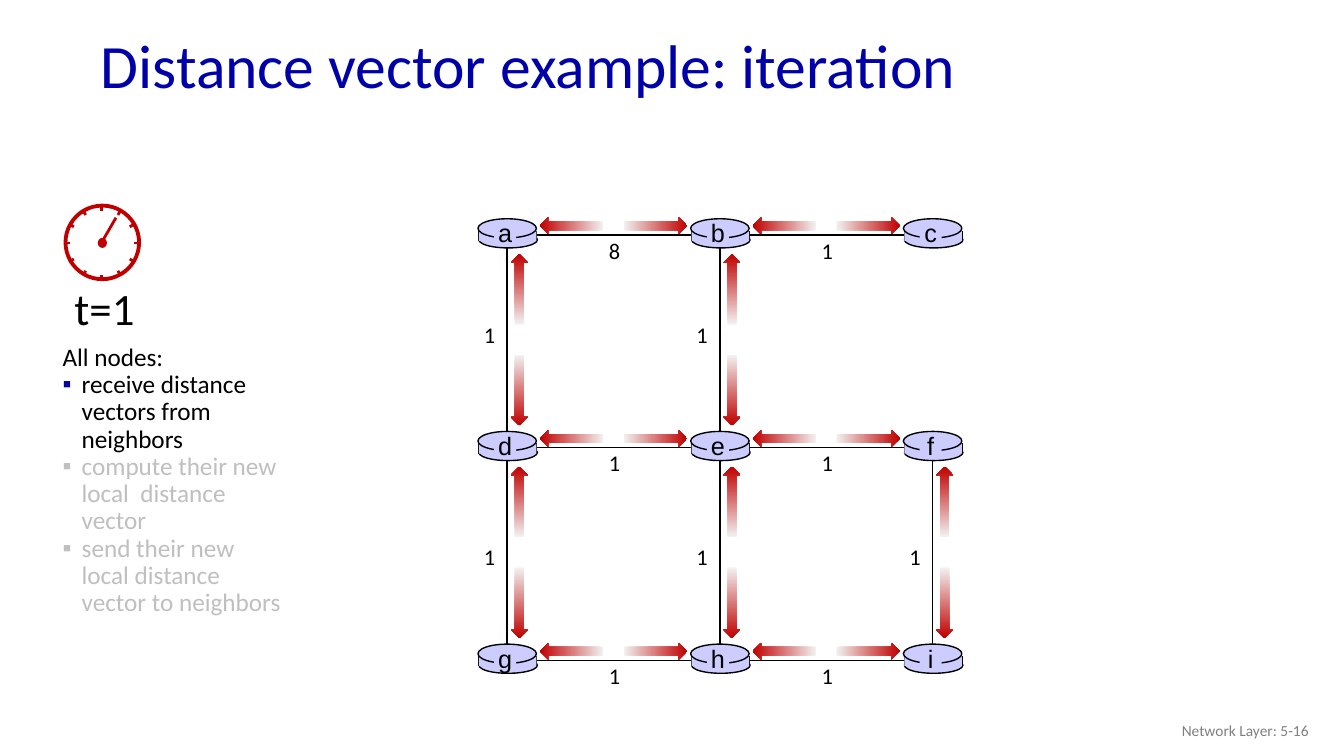
from dataclasses import dataclass
from math import cos, pi, sin

from lxml import etree
from pptx import Presentation
from pptx.dml.color import RGBColor
from pptx.enum.shapes import MSO_CONNECTOR, MSO_SHAPE
from pptx.enum.text import MSO_ANCHOR, MSO_AUTO_SIZE, PP_ALIGN
from pptx.oxml.ns import qn
from pptx.util import Inches, Pt

STRAIGHT = MSO_CONNECTOR.STRAIGHT
ELLIPSE, RECTANGLE, ARROW = MSO_SHAPE.OVAL, MSO_SHAPE.RECTANGLE, MSO_SHAPE.RIGHT_ARROW
LEFT, CENTER, RIGHT = PP_ALIGN.LEFT, PP_ALIGN.CENTER, PP_ALIGN.RIGHT
TOP, MIDDLE = MSO_ANCHOR.TOP, MSO_ANCHOR.MIDDLE
NO_FIT = MSO_AUTO_SIZE.NONE


@dataclass(frozen=True)
class Theme:
    font: str = "Calibri"
    router_font: str = "Arial"
    blue: str = "0000A8"
    black: str = "000000"
    muted: str = "BFBFBF"
    footer: str = "808080"
    red: str = "C00000"
    pale: str = "F2F2F2"
    router: str = "CCCCFF"
    title_size: int = 44
    time_size: int = 32
    body_size: int = 18
    cost_size: int = 16
    footer_size: int = 11


THEME = Theme()

# The network grid: router centres are one pitch apart.
GRID_LEFT, GRID_TOP, PITCH = 5.03, 2.33, 2.11
ROUTERS = ("abc", "def", "ghi")
LINK_COSTS = {
    "ab": 8, "bc": 1, "de": 1, "ef": 1, "gh": 1, "hi": 1,
    "ad": 1, "be": 1, "dg": 1, "eh": 1, "fi": 1,
}
COST_DROPS = (0.81, 0.9)  # vertical links, by row
CENTERS = {
    name: (GRID_LEFT + column * PITCH, GRID_TOP + row * PITCH)
    for row, names in enumerate(ROUTERS)
    for column, name in enumerate(names)
}


def place(shape, left, top, width, height):
    shape.left, shape.top = Inches(left), Inches(top)
    shape.width, shape.height = Inches(width), Inches(height)


def write(para, text, size=THEME.body_size, color=THEME.black, font=THEME.font,
          align=LEFT, spacing=None):
    para.alignment = align
    para.space_before = Pt(0)
    if spacing:
        para.line_spacing = spacing
    span = para.add_run()
    span.text = text
    span.font.size = Pt(size)
    span.font.name = font
    span.font.color.rgb = RGBColor.from_string(color)


def add_label(shapes, bounds, text, anchor=TOP, wrap=False, **style):
    box = shapes.add_textbox(*map(Inches, bounds))
    box.text_frame.word_wrap = wrap
    box.text_frame.vertical_anchor = anchor
    write(box.text_frame.paragraphs[0], text, **style)


def add_line(shapes, start, end, color=THEME.black, weight=1):
    line = shapes.add_connector(STRAIGHT, *map(Inches, (*start, *end)))
    line.line.color.rgb = RGBColor.from_string(color)
    line.line.width = Pt(weight)
    etree.SubElement(line._element.spPr, qn("a:effectLst"))


def add_outline(shapes, kind, bounds, fill=None, line=None, weight=1):
    shape = shapes.add_shape(kind, *map(Inches, bounds))
    shape.shadow.inherit = False
    if fill:
        shape.fill.solid()
        shape.fill.fore_color.rgb = RGBColor.from_string(fill)
    else:
        shape.fill.background()
    if line:
        shape.line.color.rgb = RGBColor.from_string(line)
        shape.line.width = Pt(weight)
    else:
        shape.line.fill.background()
    return shape


def add_arrow(shapes, center, length, rotation):
    """Add a message arrow fading from pale tail to red head."""
    x, y = center
    arrow = add_outline(shapes, ARROW, (x - length / 2, y - 0.085, length, 0.17))
    arrow.rotation = rotation
    arrow.fill.gradient()
    arrow.fill.gradient_angle = 0
    for stop, color in zip(arrow.fill.gradient_stops, (THEME.pale, THEME.red)):
        stop.color.rgb = RGBColor.from_string(color)


def add_router(slide, name):
    x, y = CENTERS[name]
    shapes = slide.shapes.add_group_shape().shapes
    fill, black = THEME.router, THEME.black
    add_outline(shapes, ELLIPSE, (x - 0.28, y - 0.03, 0.58, 0.16), fill, black)
    for side in (x - 0.28, x + 0.29):
        add_line(shapes, (side, y - 0.04), (side, y + 0.06))
    add_outline(shapes, RECTANGLE, (x - 0.28, y - 0.04, 0.57, 0.1), fill)
    add_outline(shapes, ELLIPSE, (x - 0.29, y - 0.16, 0.58, 0.19), fill, black)
    add_outline(shapes, RECTANGLE, (x - 0.13, y - 0.11, 0.22, 0.2), fill)
    add_label(shapes, (x - 0.19, y - 0.22, 0.34, 0.4), name,
              font=THEME.router_font, align=CENTER)


def add_link_marks(slide, link, cost):
    """Add the cost of a link and the two messages that travel along it."""
    x, y = CENTERS[link[0]]
    if y == CENTERS[link[1]][1]:
        label = (x + 0.91, y - 0.03)
        arrows = (((x + 0.64, y - 0.09), 180), ((x + 1.47, y - 0.09), 0))
        length = 0.63
    else:
        row = round((y - GRID_TOP) / PITCH)
        label = (x - 0.33, y + COST_DROPS[row])
        arrows = (((x + 0.12, y + 0.54), 270), ((x + 0.12, y + 1.54), 90))
        length = 0.7
    add_label(slide.shapes, (*label, 0.33, 0.37), str(cost), size=THEME.cost_size)
    for center, rotation in arrows:
        add_arrow(slide.shapes, center, length, rotation)


def add_clock(slide):
    shapes = slide.shapes.add_group_shape().shapes
    x, y, red = 1.01, 2.41, THEME.red
    add_outline(shapes, ELLIPSE, (0.65, 2.04, 0.73, 0.73), line=red, weight=2.75)
    for hour in range(12):
        across, down = cos(hour * pi / 6), sin(hour * pi / 6)
        inner, outer = [(x + r * across, y + r * down) for r in (0.32, 0.37)]
        add_line(shapes, inner, outer, red, 2)
    add_outline(shapes, ELLIPSE, (0.97, 2.36, 0.09, 0.1), fill=red)
    add_line(shapes, (1.15, 2.16), (1, 2.42), red, 2)
    add_label(shapes, (0.64, 2.74, 0.81, 0.64), "t=1", size=THEME.time_size)


def set_bullet(para, color=None):
    """Give a paragraph a square bullet, or none without a colour."""
    indent = Inches(0.19) if color else 0
    properties = para._p.get_or_add_pPr()
    properties.set("marL", str(indent))
    properties.set("indent", str(-indent))
    if not color:
        etree.SubElement(properties, qn("a:buNone"))
        return
    tint = etree.SubElement(properties, qn("a:buClr"))
    etree.SubElement(tint, qn("a:srgbClr"), val=color)
    etree.SubElement(properties, qn("a:buChar"), char="▪")


def fill_title(slide):
    title = slide.shapes.title
    place(title, 0.9, 0.19, 11.5, 0.98)
    title.text_frame.vertical_anchor = MIDDLE
    title.text_frame.auto_size = NO_FIT
    write(title.text_frame.paragraphs[0], "Distance vector example: iteration",
          size=THEME.title_size, color=THEME.blue, spacing=0.9)


def fill_steps(slide):
    body = slide.placeholders[1]
    place(body, 0.52, 3.37, 2.4, 2.83)
    frame = body.text_frame
    frame.auto_size = NO_FIT
    steps = (
        ("All nodes:", THEME.black, None),
        ("receive distance vectors from neighbors", THEME.black, THEME.blue),
        ("compute their new local  distance vector", THEME.muted, THEME.muted),
        ("send their new local distance vector to neighbors", THEME.muted, THEME.muted),
    )
    for index, (text, color, bullet) in enumerate(steps):
        para = frame.add_paragraph() if index else frame.paragraphs[0]
        write(para, text, color=color, spacing=0.9)
        set_bullet(para, bullet)


def main():
    deck = Presentation()
    deck.slide_width, deck.slide_height = Inches(13.33), Inches(7.5)
    slide = deck.slides.add_slide(deck.slide_layouts[1])
    fill_title(slide)
    fill_steps(slide)
    add_label(slide.shapes, (10.08, 7.05, 3, 0.4), "Network Layer: 5-16", anchor=MIDDLE,
              wrap=True, size=THEME.footer_size, color=THEME.footer, align=RIGHT)
    add_clock(slide)
    for start, end in LINK_COSTS:
        add_line(slide.shapes, CENTERS[start], CENTERS[end])
    for name in CENTERS:
        add_router(slide, name)
    for link, cost in LINK_COSTS.items():
        add_link_marks(slide, link, cost)
    deck.save("out.pptx")


if __name__ == "__main__":
    main()
